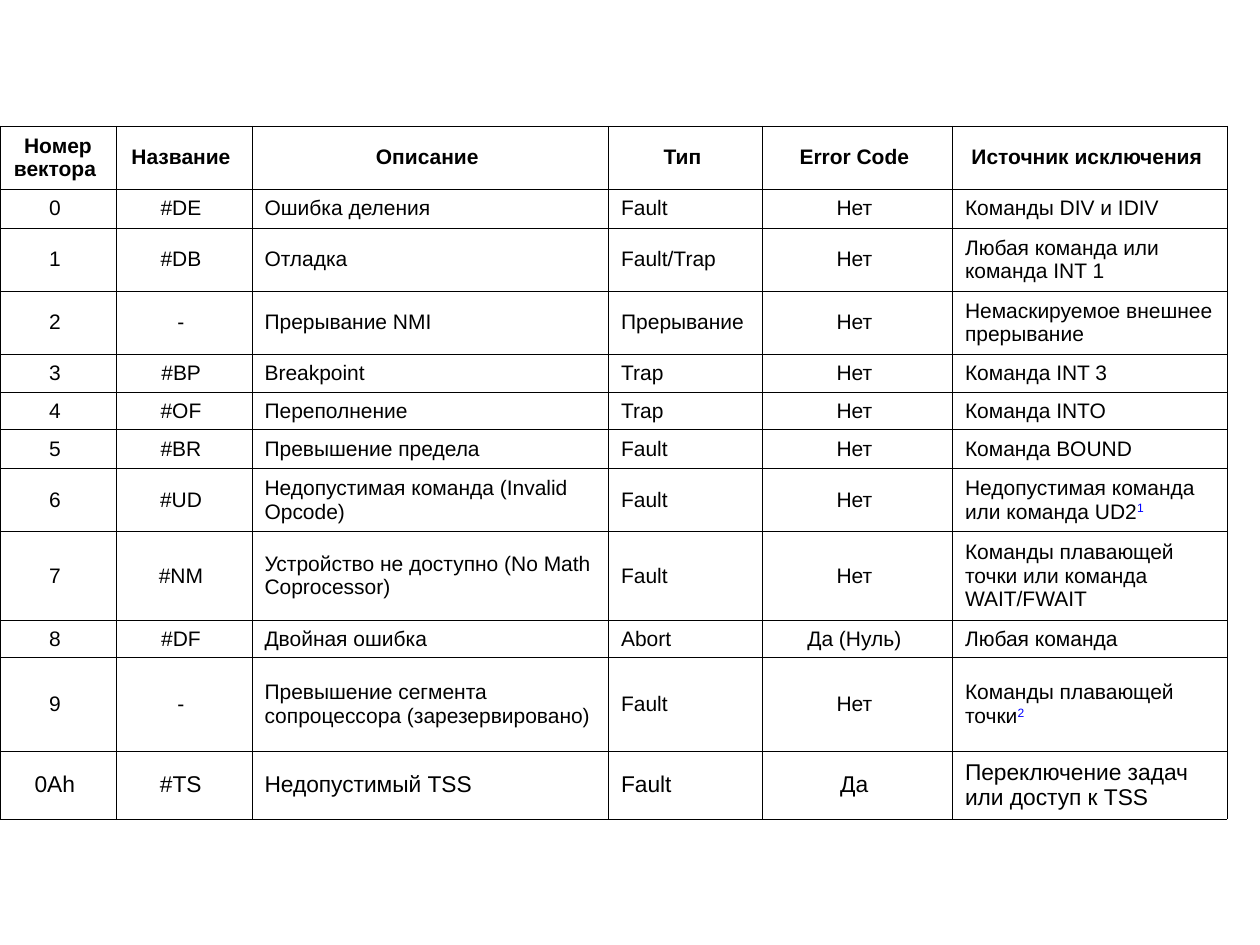
from lxml.etree import SubElement
from pptx import Presentation
from pptx.dml.color import RGBColor
from pptx.enum.text import MSO_ANCHOR, PP_ALIGN
from pptx.oxml.ns import qn
from pptx.util import Inches, Pt

BLACK = RGBColor(0, 0, 0)
BLUE = RGBColor(0, 0, 255)
FONT = "Arial"
BORDER_WIDTH = Pt(0.34)

HEADER = ("Номер вектора", "Название", "Описание", "Тип", "Error Code", "Источник исключения")
EXCEPTIONS = [
    ("0", "#DE", "Ошибка деления", "Fault", "Нет", "Команды DIV и IDIV"),
    ("1", "#DB", "Отладка", "Fault/Trap", "Нет", "Любая команда или команда INT 1"),
    ("2", "-", "Прерывание NMI", "Прерывание", "Нет", "Немаскируемое внешнее прерывание"),
    ("3", "#BP", "Breakpoint", "Trap", "Нет", "Команда INT 3"),
    ("4", "#OF", "Переполнение", "Trap", "Нет", "Команда INTO"),
    ("5", "#BR", "Превышение предела", "Fault", "Нет", "Команда BOUND"),
    ("6", "#UD", "Недопустимая команда (Invalid Opcode)", "Fault", "Нет",
     "Недопустимая команда или команда UD2"),
    ("7", "#NM", "Устройство не доступно (No Math Coprocessor)", "Fault", "Нет",
     "Команды плавающей точки или команда WAIT/FWAIT"),
    ("8", "#DF", "Двойная ошибка", "Abort", "Да (Нуль)", "Любая команда"),
    ("9", "-", "Превышение сегмента сопроцессора (зарезервировано)", "Fault", "Нет",
     "Команды плавающей точки"),
    ("0Ah", "#TS", "Недопустимый TSS", "Fault", "Да", "Переключение задач или доступ к TSS"),
]
FOOTNOTES = {"6": "1", "9": "2"}
COLUMN_WIDTHS = (0.92, 1.08, 2.83, 1.22, 1.51, 2.18)
ROW_HEIGHTS = (0.5, 0.31, 0.5, 0.5, 0.3, 0.3, 0.31, 0.5, 0.7, 0.3, 0.74, 0.54)
CENTERED_COLUMNS = {0, 1, 4}
SOURCE_COLUMN = len(HEADER) - 1


def add_text(paragraph, text, size=12, bold=False, color=BLACK, raised=False):
    run = paragraph.add_run()
    run.text = text
    run.font.name = FONT
    run.font.size = Pt(size)
    run.font.bold = bold
    run.font.color.rgb = color
    if raised:
        run.font._element.set("baseline", "30000")


def add_borders(cell):
    properties = cell._tc.get_or_add_tcPr()
    for position, side in enumerate(("a:lnL", "a:lnR", "a:lnT", "a:lnB")):
        line = SubElement(properties, qn(side), w=str(BORDER_WIDTH))
        properties.insert(position, line)
        fill = SubElement(line, qn("a:solidFill"))
        SubElement(fill, qn("a:srgbClr"), val=str(BLACK))


presentation = Presentation()
presentation.slide_width = Inches(10)
presentation.slide_height = Inches(7.5)
slide = presentation.slides.add_slide(presentation.slide_layouts[6])

rows = [HEADER] + EXCEPTIONS
frame = slide.shapes.add_table(
    len(rows), len(HEADER), 0, Inches(1),
    Inches(sum(COLUMN_WIDTHS)), Inches(sum(ROW_HEIGHTS)))
table = frame.table
table.first_row = False
table.horz_banding = False
for column, width in zip(table.columns, COLUMN_WIDTHS):
    column.width = Inches(width)
for row, height in zip(table.rows, ROW_HEIGHTS):
    row.height = Inches(height)

for row_index, values in enumerate(rows):
    is_header = row_index == 0
    size = 13 if row_index == len(rows) - 1 else 12
    for column_index, value in enumerate(values):
        cell = table.cell(row_index, column_index)
        cell.fill.background()
        cell.vertical_anchor = MSO_ANCHOR.MIDDLE
        cell.margin_left = cell.margin_right = Inches(0.1)
        cell.margin_top = cell.margin_bottom = Inches(0.05)
        add_borders(cell)
        paragraph = cell.text_frame.paragraphs[0]
        centered = is_header or column_index in CENTERED_COLUMNS
        paragraph.alignment = PP_ALIGN.CENTER if centered else PP_ALIGN.LEFT
        footnote = FOOTNOTES.get(values[0]) if column_index == SOURCE_COLUMN else None
        add_text(paragraph, value if footnote else value + " ", size=size, bold=is_header)
        if footnote:
            add_text(paragraph, footnote + " ", size=size, color=BLUE, raised=True)

presentation.save("out.pptx")
